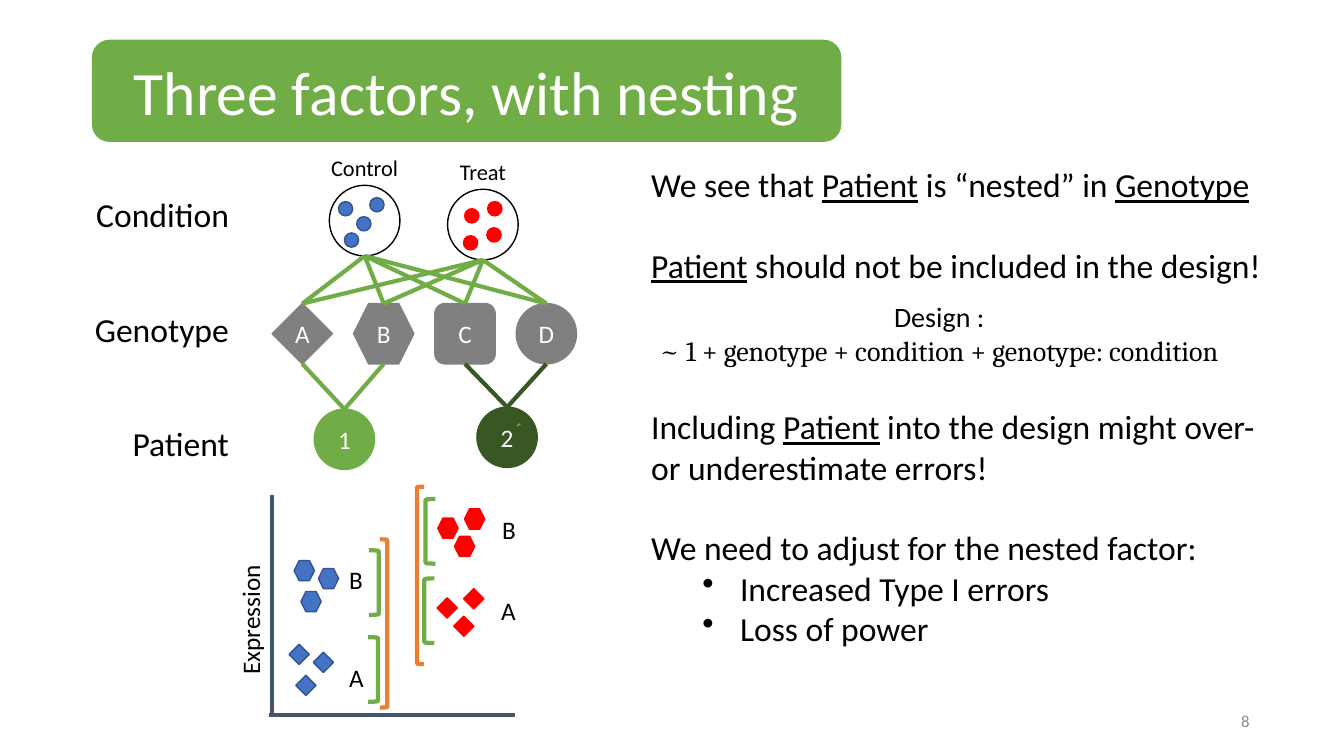
from itertools import product
from pptx import Presentation
from pptx.dml.color import RGBColor
from pptx.enum.shapes import MSO_CONNECTOR as Link, MSO_SHAPE as Kind
from pptx.enum.text import MSO_ANCHOR as Anchor, PP_ALIGN as Align
from pptx.oxml.ns import qn
from pptx.util import Cm, Pt
from lxml.etree import SubElement as Sub

GREEN, DARK, BLUE, NAVY = "70AD47", "385723", "4472C4", "325491"
RED, GREY, SLATE, ORANGE = "FF0000", "808080", "44546A", "ED7D31"
BLACK, WHITE, PALE = "000000", "FFFFFF", "8C8C8C"


def color(code):
    return RGBColor.from_string(code)


class Deck:
    face = "Calibri"
    thick = 3

    def __init__(self, wide, high):
        self.file = Presentation()
        self.file.slide_width, self.file.slide_height = Cm(wide), Cm(high)
        self.slide = self.file.slides.add_slide(self.file.slide_layouts[6])

    def put(self, para, text, size, ink=BLACK, align=Align.CENTER, face=None):
        """Fill a paragraph; words between underscores are underlined."""
        para.alignment = align
        font = para.font
        font.size, font.name = Pt(size), face or self.face
        font.color.rgb = color(ink)
        for i, part in enumerate(text.split("_")):
            if part:
                run = para.add_run()
                run.text = part
                if i % 2:
                    run.font.underline = True

    def frame(self, box, inset=0.0, anchor=Anchor.MIDDLE):
        frame = box.text_frame
        frame.word_wrap, frame.vertical_anchor = True, anchor
        frame.margin_left = frame.margin_right = Cm(inset)
        frame.margin_top = frame.margin_bottom = Cm(inset)
        return frame

    def box(self, x, y, w, h):
        return self.slide.shapes.add_textbox(Cm(x), Cm(y), Cm(w), Cm(h))

    def label(self, x, y, text, size, w=4, h=1, align=Align.CENTER, turn=0, ink=BLACK):
        """A line of text centred on a point."""
        box = self.box(x - w / 2, y - h / 2, w, h)
        box.rotation = turn
        self.put(self.frame(box).paragraphs[0], text, size, ink, align)

    def shape(self, kind, x, y, w, h, fill=None, edge=None, width=1, turn=0):
        """A preset shape centred on a point."""
        item = self.slide.shapes.add_shape(
            kind, Cm(x - w / 2), Cm(y - h / 2), Cm(w), Cm(h))
        item.shadow.inherit = False
        item.rotation = turn
        if fill:
            item.fill.solid()
            item.fill.fore_color.rgb = color(fill)
        else:
            item.fill.background()
        item.line.color.rgb = color(edge or fill)
        item.line.width = Pt(width)
        return item

    def node(self, kind, x, y, w, h, fill, text, size):
        item = self.shape(kind, x, y, w, h, fill)
        self.put(self.frame(item).paragraphs[0], text, size, WHITE)

    def line(self, start, end, ink):
        ends = [Cm(v) for v in (*start, *end)]
        item = self.slide.shapes.add_connector(Link.STRAIGHT, *ends)
        item.line.color.rgb, item.line.width = color(ink), Pt(self.thick)
        Sub(item._element.spPr, qn("a:effectLst"))

    def bullet(self, para):
        props = para._p.get_or_add_pPr()
        props.set("marL", str(Cm(2.24)))
        props.set("indent", str(-Cm(0.95)))
        mark = Sub(props, qn("a:buChar"))
        mark.set("char", "•")
        # Bullet marks go before the default run style
        style = props.find(qn("a:defRPr"))
        if style is not None:
            style.addprevious(mark)


deck = Deck(33.87, 19.05)

# Title and page number
deck.node(Kind.ROUNDED_RECTANGLE, 11.76, 2.29, 18.85, 2.54, GREEN,
          "Three factors, with nesting", 44)
deck.label(27.62, 18.16, "8", 12, 7.74, align=Align.RIGHT, ink=PALE)

# Factor names
for i, name in enumerate(("Condition", "Genotype", "Patient")):
    deck.label(3.77, 5.39 + 2.89 * i, name, 24, h=1.27, align=Align.RIGHT)

# Conditions with their samples
ring, dot, size = 1.78, 0.36, 1.52
conds = [
    ("Control", 9.19, 5.56, BLUE, NAVY,
     [(9.17, 5.64), (9.5, 5.16), (8.71, 5.26), (8.86, 6.05)]),
    ("Treat", 12.17, 5.66, RED, RED,
     [(12.45, 5.92), (12.47, 5.26), (11.89, 5.44), (11.86, 6.12)]),
]
for name, x, y, fill, edge, spots in conds:
    deck.label(x, y - 1.33, name, 16)
    deck.shape(Kind.OVAL, x, y, ring, ring, edge=BLACK)
    for spot in spots:
        deck.shape(Kind.OVAL, *spot, dot, dot, fill, edge)

# Genotypes
kinds = [Kind.DIAMOND, Kind.HEXAGON, Kind.ROUNDED_RECTANGLE, Kind.OVAL]
genes = [7.62 + 2.05 * i for i in range(4)]
mid = 8.41
for kind, x, name in zip(kinds, genes, "ABCD"):
    deck.node(kind, x, mid, size, size, GREY, name, 18)
for cond, x in product(conds, genes):
    deck.line((cond[1], cond[2] + ring / 2), (x, mid - size / 2), GREEN)

# Patients, each nested in two genotypes
pats = [("1", 8.68, 11.07, GREEN, genes[:2]), ("2", 12.78, 11.02, DARK, genes[2:])]
for name, x, y, ink, pair in pats:
    deck.node(Kind.OVAL, x, y, size, size, ink, name, 18)
    for gene in pair:
        deck.line((x, y - size / 2), (gene, mid + size / 2), ink)
deck.line((13.08, 10.72), (13.06, 10.69), GREEN)

# Expression plot: axes
deck.line((6.78, 18.01), (12.98, 18.01), SLATE)
deck.line((6.86, 18.03), (6.86, 12.47), SLATE)
deck.label(6.3, 15.62, "Expression", 18, turn=270)

# Expression plot: clusters of three marks
cool = (BLUE, NAVY, [(0, 0), (-0.61, -0.2), (-0.44, 0.58)])
warm = (RED, RED, [(0, 0), (-0.67, 0.23), (-0.25, 0.69)])
for name, kind, x, y, tone, spot in [
    ("A", Kind.DIAMOND, 8.15, 16.69, cool, (8.98, 17.06)),
    ("B", Kind.HEXAGON, 8.28, 14.58, cool, (8.97, 14.6)),
    ("A", Kind.DIAMOND, 11.94, 15.09, warm, (12.81, 15.39)),
    ("B", Kind.HEXAGON, 11.96, 13.08, warm, (12.83, 13.33)),
]:
    fill, edge, steps = tone
    for dx, dy in steps:
        deck.shape(kind, x + dx, y + dy, 0.51, 0.51, fill, edge)
    deck.label(*spot, name, 18, w=1)

# Expression plot: brackets
for x, y, w, h, ink, turn in [
    (10.85, 13.39, 0.25, 1.63, GREEN, 0),
    (10.82, 15.39, 0.25, 1.63, GREEN, 0),
    (9.42, 14.68, 0.25, 1.63, GREEN, 180),
    (9.4, 16.87, 0.25, 1.63, GREEN, 180),
    (10.6, 14.5, 0.18, 4.47, ORANGE, 0),
    (9.67, 15.71, 0.18, 4.24, ORANGE, 180),
]:
    deck.shape(Kind.LEFT_BRACKET, x, y, w, h, edge=ink, width=deck.thick, turn=turn)

# Design formula
frame = deck.frame(deck.box(14.55, 7.42, 18.24, 1.96))
deck.put(frame.paragraphs[0], "Design :", 20)
deck.put(frame.add_paragraph(),
         "~ 1 + genotype + condition + genotype: condition", 20, face="Cambria")

# Explanation: text, blank lines above, bullet
row = 28.8
frame = deck.frame(deck.box(16.08, 3.81, 16.71, 13.18), 0.33, Anchor.TOP)
for i, (text, gap, mark) in enumerate([
    ("We see that _Patient_ is “nested” in _Genotype_", 0, False),
    ("_Patient_ should not be included in the design!", 1, False),
    ("Including _Patient_ into the design might over- or underestimate errors!", 3, False),
    ("We need to adjust for the nested factor:", 1, False),
    ("Increased Type I errors", 0, True),
    ("Loss of power", 0, True),
]):
    para = frame.add_paragraph() if i else frame.paragraphs[0]
    deck.put(para, text, 24, align=Align.LEFT)
    para.line_spacing, para.space_before = Pt(row), Pt(row * gap)
    if mark:
        deck.bullet(para)

deck.file.save("out.pptx")
